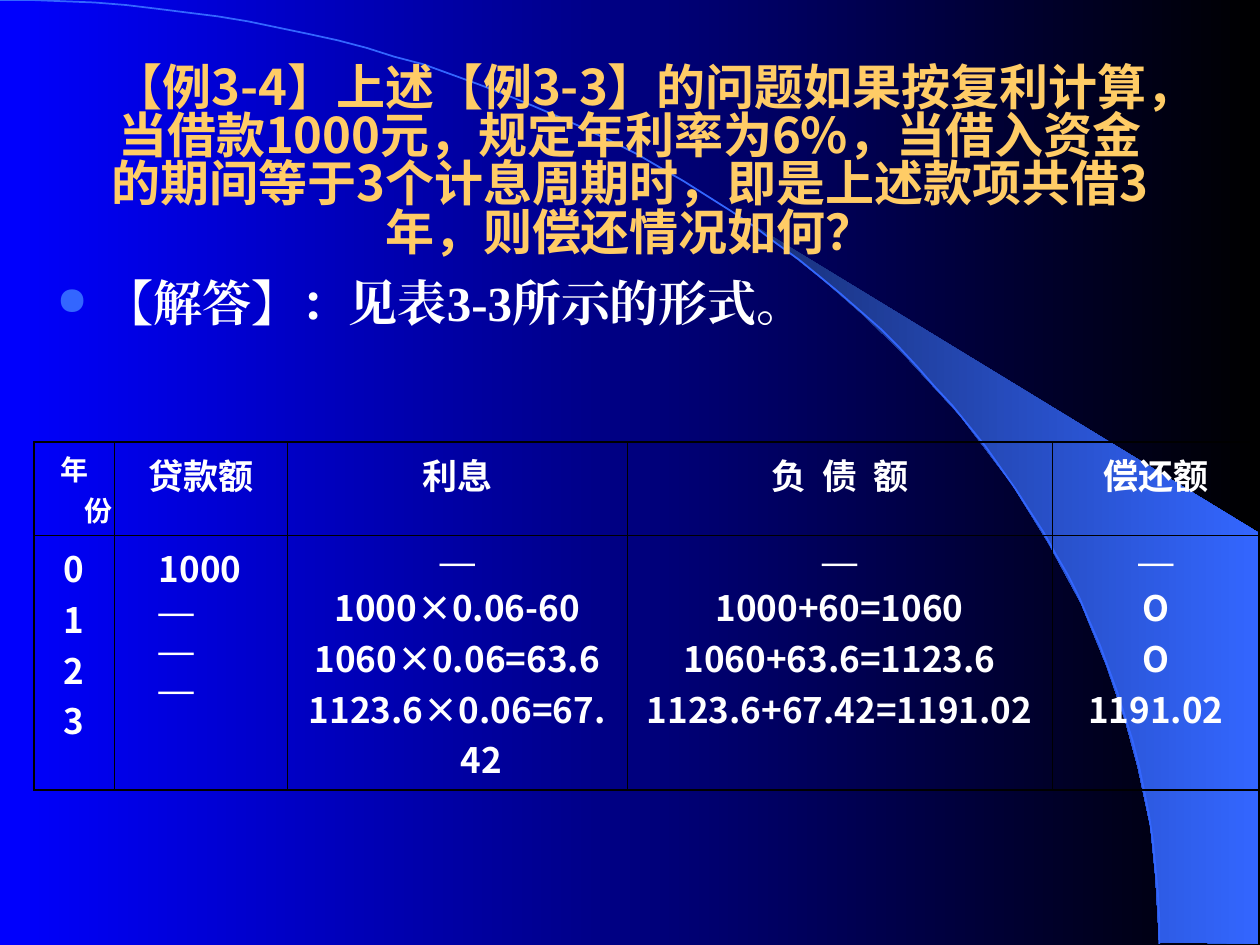
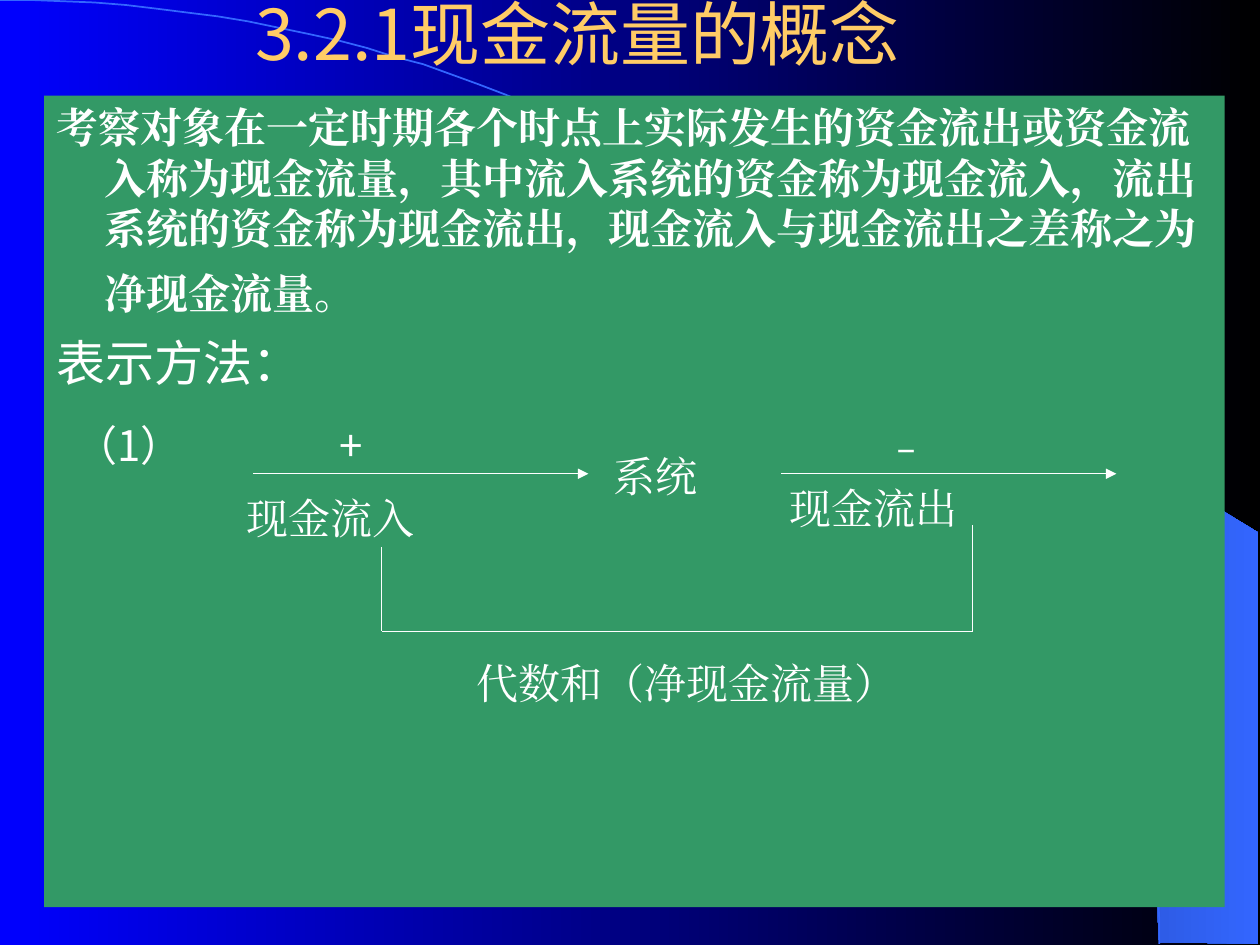
"""Builds two slides on compound interest and cash flow."""
from dataclasses import dataclass

from lxml import etree
from pptx import Presentation
from pptx import util as u
from pptx.dml.color import RGBColor
from pptx.enum import shapes, text
from pptx.oxml.ns import qn

EMU_PER_PX = 9144


@dataclass(frozen=True)
class Theme:
    sans: str = "Noto Sans CJK SC"
    serif: str = "Times New Roman"
    white: str = "FFFFFF"
    black: str = "000000"
    gold: str = "FFCC66"
    blue: str = "0000FF"
    sky: str = "3366FF"
    navy: str = "182F76"
    green: str = "339966"
    heading: int = 40
    large: int = 28
    spacer: int = 32
    label: int = 24
    cell: int = 20
    small: int = 16


THEME = Theme()
DASH = "—"
HANGING = 38
WEDGE = [(920, 748), (999, 749), (999, 423), (589, 173), (624, 199), (653, 222),
         (685, 250), (716, 280), (762, 330), (803, 384), (832, 431), (858, 479),
         (878, 528), (893, 572), (903, 609), (913, 656), (917, 696), (920, 748)]
ARC = [(0, 0), (508, 0), (920, 335), (920, 749)]
HEADERS = ["年份", "贷款额", "利息", "负  债  额", "偿还额"]
COLUMNS = [
    ["0", "1", "2", "3"],
    ["1000", DASH, DASH, DASH],
    [DASH, "1000×0.06-60", "1060×0.06=63.6", "1123.6×0.06=67.42"],
    [DASH, "1000+60=1060", "1060+63.6=1123.6", "1123.6+67.42=1191.02"],
    [DASH, "O", "O", "1191.02"],
]


def px(length):
    return u.Emu(length * EMU_PER_PX)


def rgb(code):
    return RGBColor.from_string(code)


def set_gradient(fill, colors):
    fill.gradient()
    fill.gradient_angle = 0
    for stop, color in zip(fill.gradient_stops, colors):
        stop.color.rgb = rgb(color)


def add_span(para, words, size, font=THEME.sans, color=THEME.white, bold=False):
    span = para.add_run()
    span.text = words
    span.font.size = u.Pt(size)
    span.font.name = font
    span.font.bold = bold
    span.font.color.rgb = rgb(color)
    latin = span.font._element.find(qn("a:latin"))
    east_asian = etree.Element(qn("a:ea"), typeface=font)
    latin.addnext(east_asian)


def set_indent(para, left, first):
    properties = para._p.get_or_add_pPr()
    properties.set("marL", str(px(left)))
    properties.set("indent", str(px(first)))


def add_bullet(para):
    properties = para._p.get_or_add_pPr()
    color = etree.SubElement(properties, qn("a:buClr"))
    etree.SubElement(color, qn("a:srgbClr"), val=THEME.sky)
    etree.SubElement(properties, qn("a:buSzPct"), val="80000")
    etree.SubElement(properties, qn("a:buChar"), char="●")


def add_box(page, left, top, width, height, wrap=True):
    box = page.shapes.add_textbox(px(left), px(top), px(width), px(height))
    box.text_frame.word_wrap = wrap
    box.text_frame.auto_size = text.MSO_AUTO_SIZE.NONE
    return box


def add_title(page, place, words, size, bold=False, spacing=1.0):
    frame = add_box(page, *place).text_frame
    frame.vertical_anchor = text.MSO_ANCHOR.MIDDLE
    para = frame.paragraphs[0]
    para.alignment = text.PP_ALIGN.CENTER
    para.line_spacing = spacing
    add_span(para, words, size, color=THEME.gold, bold=bold)


def add_label(page, left, top, width, words, font=THEME.serif, wrap=False, centred=False):
    frame = add_box(page, left, top, width, 50, wrap).text_frame
    frame.auto_size = text.MSO_AUTO_SIZE.SHAPE_TO_FIT_TEXT
    para = frame.paragraphs[0]
    if centred:
        para.alignment = text.PP_ALIGN.CENTER
    add_span(para, words, THEME.label, font)


def add_line(page, start, end, arrow=False):
    line = page.shapes.add_connector(
        shapes.MSO_CONNECTOR.STRAIGHT, *map(px, (*start, *end)))
    line.line.color.rgb = rgb(THEME.white)
    line.line.width = u.Pt(0.75)
    if arrow:
        etree.SubElement(line.line._get_or_add_ln(), qn("a:tailEnd"), type="triangle")
    etree.SubElement(line._element.spPr, qn("a:effectLst"))


def add_outline(page, points, close):
    builder = page.shapes.build_freeform(*points[0], scale=EMU_PER_PX)
    builder.add_line_segments(points[1:], close=close)
    outline = builder.convert_to_shape()
    outline.shadow.inherit = False
    return outline


def curve_point(step):
    weights = ((1 - step) ** 3, 3 * step * (1 - step) ** 2,
               3 * step ** 2 * (1 - step), step ** 3)
    return tuple(sum(w * point[axis] for w, point in zip(weights, ARC)) for axis in (0, 1))


def add_page(deck):
    page = deck.slides.add_slide(deck.slide_layouts[6])
    set_gradient(page.background.fill, (THEME.blue, THEME.black))
    wedge = add_outline(page, WEDGE, True)
    set_gradient(wedge.fill, (THEME.navy, THEME.sky))
    wedge.line.fill.background()
    arc = add_outline(page, [curve_point(i / 60) for i in range(61)], False)
    arc.fill.background()
    arc.line.color.rgb = rgb(THEME.sky)
    arc.line.width = u.Pt(1)
    return page


def set_borders(cell, outer_sides):
    properties = cell._tc.get_or_add_tcPr()
    for side in "LRTB":
        width = u.Pt(0.96 if side in outer_sides else 0.45)
        border = etree.SubElement(properties, qn(f"a:ln{side}"), w=str(width))
        fill = etree.SubElement(border, qn("a:solidFill"))
        etree.SubElement(fill, qn("a:srgbClr"), val=THEME.black)


def fill_cell(cell, lines, size, centred=True):
    frame = cell.text_frame
    for index, words in enumerate(lines):
        para = frame.add_paragraph() if index else frame.paragraphs[0]
        set_indent(para, HANGING, -HANGING if centred else -13)
        para.alignment = text.PP_ALIGN.CENTER if centred else text.PP_ALIGN.LEFT
        font = THEME.serif if words == DASH else THEME.sans
        add_span(para, words, size, font, bold=True)
    cell.fill.background()


def add_repayment_table(page):
    widths, heights = (64, 137, 270, 337, 165), (67, 193)
    table = page.shapes.add_table(
        2, 5, px(27), px(351), px(sum(widths)), px(sum(heights))).table
    table.first_row = table.horz_banding = False
    for row, height in zip(table.rows, heights):
        row.height = px(height)
    for index, (width, header, lines) in enumerate(zip(widths, HEADERS, COLUMNS)):
        table.columns[index].width = px(width)
        edge = {0: "L", len(widths) - 1: "R"}.get(index, "")
        top, bottom = table.cell(0, index), table.cell(1, index)
        set_borders(top, "T" + edge)
        set_borders(bottom, "B" + edge)
        fill_cell(top, [header], THEME.cell if index else THEME.small)
        fill_cell(bottom, lines, THEME.cell, centred=index != 1)


def build_interest_page(deck):
    page = add_page(deck)
    add_title(page, (75, 67, 850, 125),
              "【例3-4】上述【例3-3】的问题如果按复利计算，当借款1000元，规定年利率为6%，"
              "当借入资金的期间等于3个计息周期时，即是上述款项共借3年，则偿还情况如何？",
              THEME.large, bold=True, spacing=0.82)
    answer = add_box(page, 35, 217, 929, 332).text_frame.paragraphs[0]
    set_indent(answer, HANGING, -HANGING)
    add_bullet(answer)
    answer.line_spacing = 0.9
    add_span(answer, "【解答】：见表3-3所示的形式。", THEME.large, THEME.serif, bold=True)
    add_repayment_table(page)


def add_definition_panel(page):
    panel = page.shapes.add_shape(
        shapes.MSO_SHAPE.RECTANGLE, px(35), px(76), px(937), px(644))
    panel.shadow.inherit = False
    panel.fill.solid()
    panel.fill.fore_color.rgb = rgb(THEME.green)
    panel.line.fill.background()
    frame = panel.text_frame
    frame.word_wrap = True
    frame.vertical_anchor = text.MSO_ANCHOR.TOP
    definition, method = frame.paragraphs[0], frame.add_paragraph()
    for para in (definition, method):
        set_indent(para, HANGING, -HANGING)
        para.alignment = text.PP_ALIGN.LEFT
    add_span(definition,
             "考察对象在一定时期各个时点上实际发生的资金流出或资金流入称为现金流量，"
             "其中流入系统的资金称为现金流入，流出系统的资金称为现金流出，"
             "现金流入与现金流出之差称之为净现金流量。",
             THEME.label, THEME.serif, bold=True)
    add_span(definition, " ", THEME.spacer, THEME.serif)
    method.space_before = u.Pt(7)
    add_span(method, "表示方法：", THEME.large)


def build_cash_flow_page(deck):
    page = add_page(deck)
    add_definition_panel(page)
    add_label(page, 477, 353, 88, "系统", wrap=True)
    for left in (201, 620):
        add_line(page, (left, 376), (left + 266, 376), arrow=True)
    add_label(page, 260, 328, 40, "+", THEME.sans)
    add_label(page, 693, 328, 53, "﹣")
    add_label(page, 186, 386, 153, "现金流入")
    add_label(page, 617, 378, 153, "现金流出")
    bracket = [(303, 434), (303, 501), (772, 501), (772, 417)]
    for start, end in zip(bracket, bracket[1:]):
        add_line(page, start, end)
    add_label(page, 277, 517, 535, "代数和（净现金流量）", wrap=True, centred=True)
    add_label(page, 50, 328, 123, "（1）", THEME.sans)
    add_title(page, (130, 0, 669, 52), "3.2.1现金流量的概念 ", THEME.heading)


def main():
    deck = Presentation()
    deck.slide_width, deck.slide_height = px(1000), px(750)
    build_interest_page(deck)
    build_cash_flow_page(deck)
    deck.save("out.pptx")


if __name__ == "__main__":
    main()
